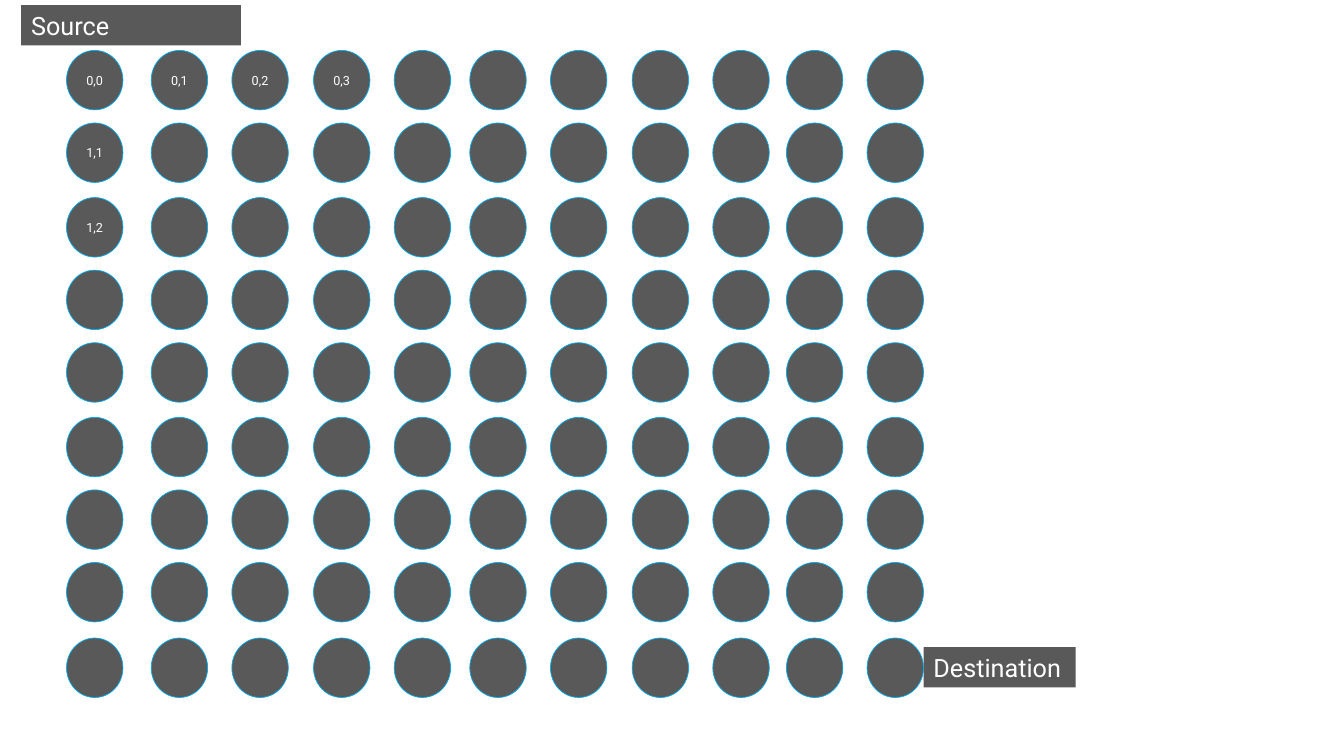
import dataclasses

import pptx
import pptx.dml.color
import pptx.enum.shapes
import pptx.enum.text
import pptx.presentation
import pptx.shapes.autoshape
import pptx.slide
import pptx.util

Inches = pptx.util.Inches
SHAPE = pptx.enum.shapes.MSO_SHAPE
ALIGN = pptx.enum.text.PP_ALIGN
ANCHOR = pptx.enum.text.MSO_ANCHOR

COLORS = {"fill": "595959", "outline": "00AEEF", "text": "FFFFFF"}
FONT = "Roboto"

COLUMN_LEFTS = (0.66, 1.5, 2.3, 3.11, 3.91, 4.66, 5.46, 6.27, 7.07, 7.8, 8.6)
ROW_TOPS = (0.5, 1.22, 1.96, 2.68, 3.4, 4.14, 4.86, 5.58, 6.33)
NODE_WIDTH, NODE_HEIGHT = 0.56, 0.59
NODE_TEXTS = {  # keyed by (row, column)
    (0, 0): "0,0", (0, 1): "0,1", (0, 2): "0,2", (0, 3): "0,3",
    (1, 0): "1,1", (2, 0): "1,2",
}


@dataclasses.dataclass(frozen=True)
class Node:
    left: float
    top: float
    text: str


@dataclasses.dataclass(frozen=True)
class Label:
    left: float
    top: float
    width: float
    height: float
    text: str


LABELS = (
    Label(0.21, 0.05, 2.18, 0.4, "Source"),
    Label(9.16, 6.42, 1.51, 0.4, "Destination"),
)
NODES = tuple(
    Node(left, top, NODE_TEXTS.get((row, column), ""))
    for row, top in enumerate(ROW_TOPS)
    for column, left in enumerate(COLUMN_LEFTS)
)


def rgb(name: str) -> pptx.dml.color.RGBColor:
    return pptx.dml.color.RGBColor.from_string(COLORS[name])


def add_filled_shape(
    slide: pptx.slide.Slide, kind: SHAPE,
    left: float, top: float, width: float, height: float,
) -> pptx.shapes.autoshape.Shape:
    shape = slide.shapes.add_shape(
        kind, Inches(left), Inches(top), Inches(width), Inches(height)
    )
    shape.shadow.inherit = False
    shape.fill.solid()
    shape.fill.fore_color.rgb = rgb("fill")
    return shape


def write_text(
    shape: pptx.shapes.autoshape.Shape, text: str, size: int, alignment: ALIGN
) -> None:
    paragraph = shape.text_frame.paragraphs[0]
    paragraph.alignment = alignment
    run = paragraph.add_run()
    run.text = text
    run.font.name = FONT
    run.font.size = pptx.util.Pt(size)
    run.font.color.rgb = rgb("text")


def draw_label(slide: pptx.slide.Slide, label: Label) -> None:
    shape = add_filled_shape(
        slide, SHAPE.RECTANGLE, label.left, label.top, label.width, label.height
    )
    shape.line.fill.background()
    shape.text_frame.word_wrap = True
    shape.text_frame.auto_size = pptx.enum.text.MSO_AUTO_SIZE.SHAPE_TO_FIT_TEXT
    shape.text_frame.vertical_anchor = ANCHOR.TOP
    write_text(shape, label.text, 18, ALIGN.LEFT)


def draw_node(slide: pptx.slide.Slide, node: Node) -> None:
    shape = add_filled_shape(
        slide, SHAPE.OVAL, node.left, node.top, NODE_WIDTH, NODE_HEIGHT
    )
    shape.line.color.rgb = rgb("outline")
    shape.line.width = pptx.util.Pt(0.5)
    if node.text:
        frame = shape.text_frame
        frame.margin_left = frame.margin_right = 0
        frame.vertical_anchor = ANCHOR.MIDDLE
        write_text(shape, node.text, 9, ALIGN.CENTER)


def main() -> None:
    presentation = pptx.Presentation()
    presentation.slide_width = Inches(13.33)
    presentation.slide_height = Inches(7.5)
    slide = presentation.slides.add_slide(presentation.slide_layouts[6])
    for label in LABELS:
        draw_label(slide, label)
    for node in NODES:
        draw_node(slide, node)
    presentation.save("out.pptx")


if __name__ == "__main__":
    main()
